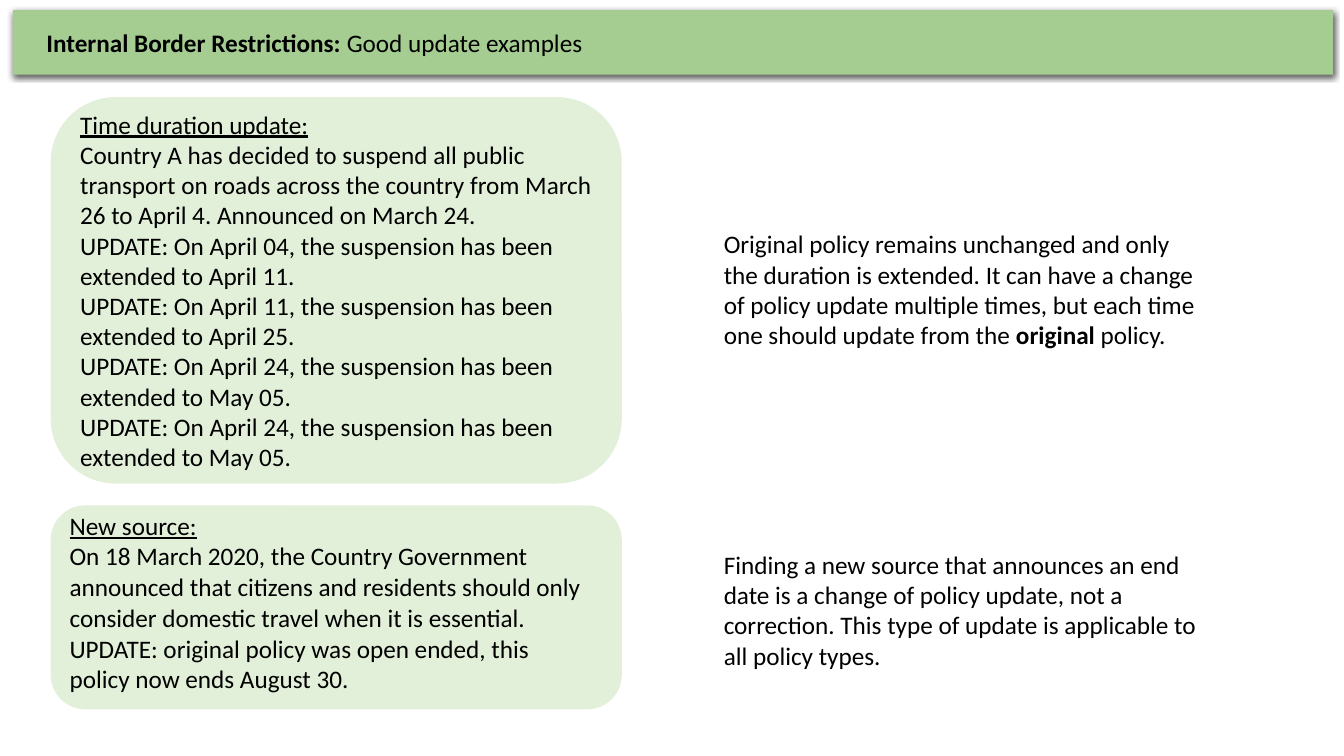
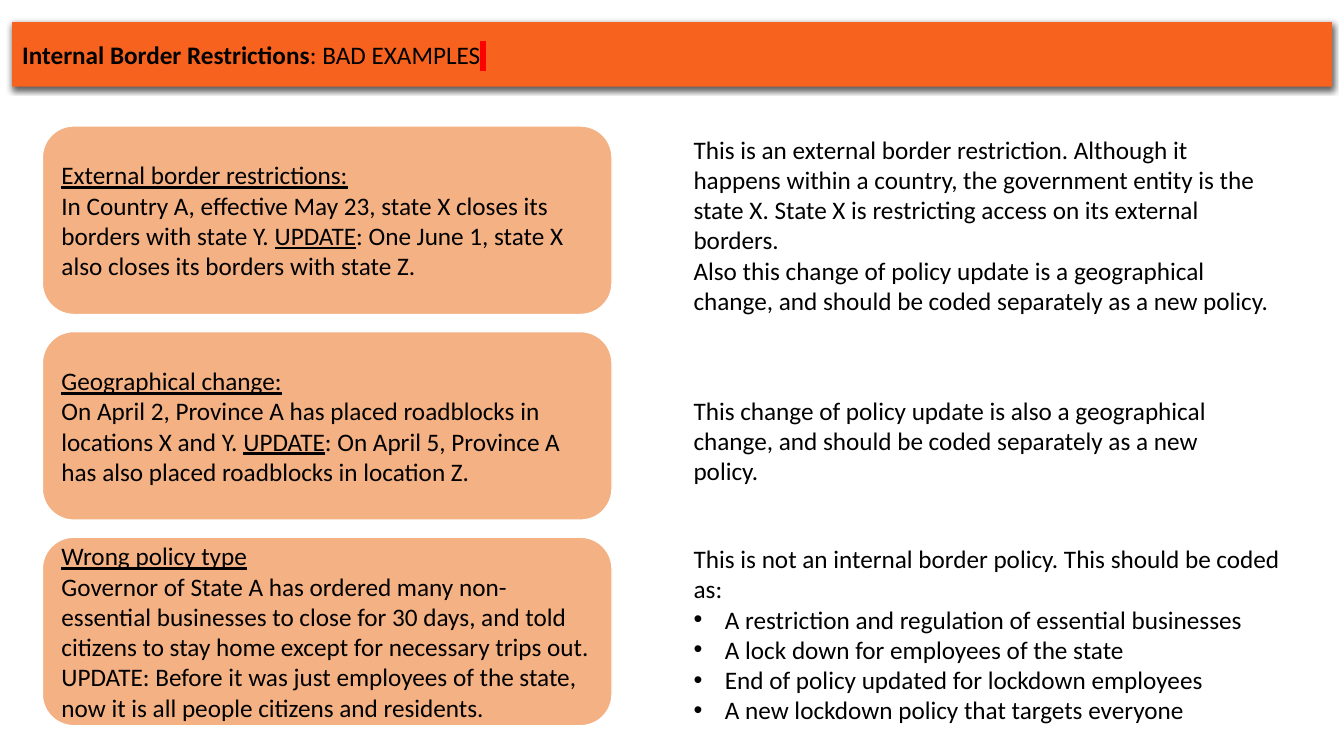
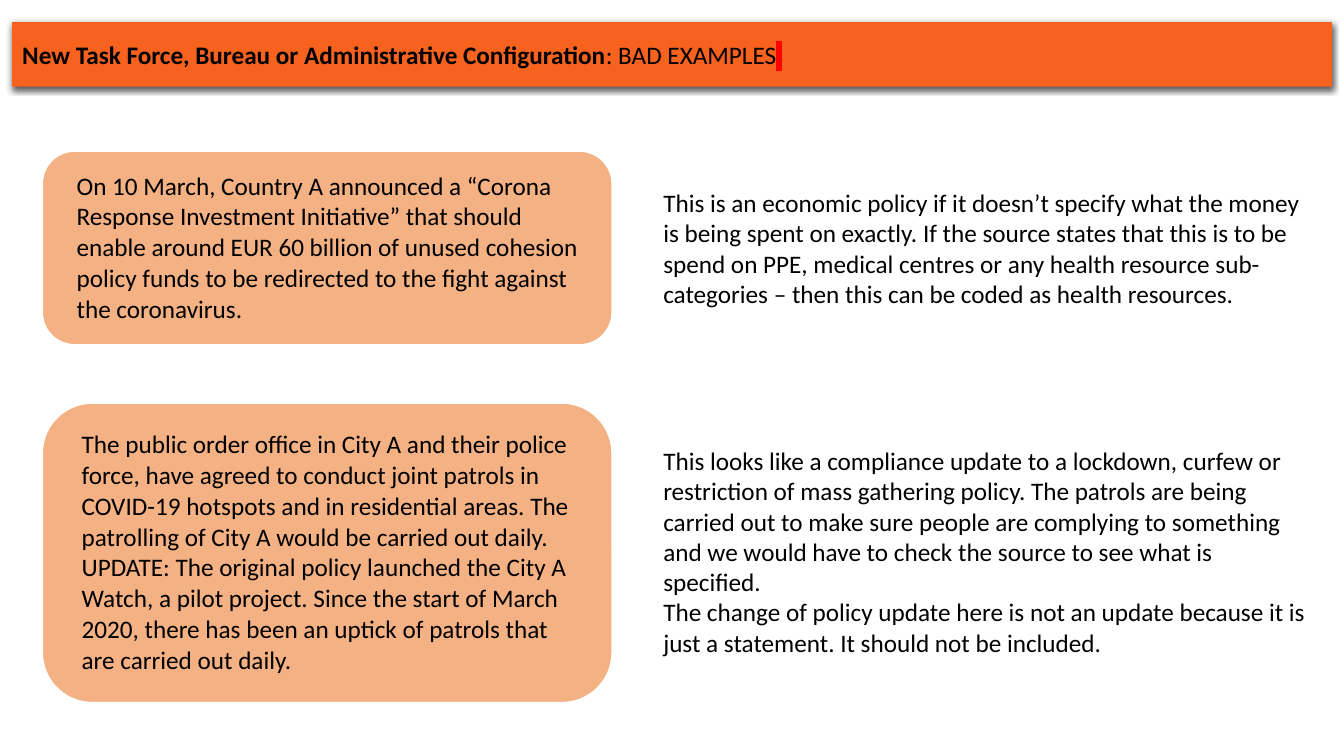
from lxml import etree
from pptx import Presentation
from pptx import util as u
from pptx.dml.color import RGBColor
from pptx.enum import shapes, text
from pptx.oxml.ns import nsdecls, qn

COLORS = {"ink": "000000", "cursor": "FF0000"}
LOOKS = {
    "good": {"band": "A5CD92", "card": "E2F0D9", "edge": "E2F0D9",
             "band_at": (0.13, 0.1), "inset": 0.33, "card_left": 0.51},
    "bad": {"band": "F8621F", "card": "F4B183", "edge": "FFFFFF",
            "band_at": (0.12, 0.22), "inset": 0.1, "card_left": 0.42},
}
BAND_SIZE = (13.09, 0.64)
CARD_WIDTH = 5.65
BULLET_INDENT = 0.31
NO_TABLE_STYLE = "{2D5ABB26-0587-4C30-8999-92F81FD0307C}"
SHADOW = (f'<a:effectLst {nsdecls("a")}><a:outerShdw blurRad="57150" dist="19050" '
          'dir="5400000" algn="ctr" rotWithShape="0"><a:srgbClr val="000000">'
          '<a:alpha val="63000"/></a:srgbClr></a:outerShdw></a:effectLst>')


def inches(*lengths):
    return [u.Inches(length) for length in lengths]


def write(frame, paragraphs):
    """Fill a frame; a paragraph is a string or a list of (words, style) runs."""
    frame.word_wrap = True
    for number, runs in enumerate(paragraphs):
        paragraph = frame.paragraphs[0] if number == 0 else frame.add_paragraph()
        paragraph.alignment = text.PP_ALIGN.LEFT
        paragraph.space_before = u.Pt(0)
        if isinstance(runs, str):
            runs = [(runs, "")]
        p_pr = paragraph._p.get_or_add_pPr()
        bulleted = runs[0][1] == "bullet"
        indent = u.Inches(BULLET_INDENT) if bulleted else 0
        p_pr.set("marL", str(indent))
        p_pr.set("indent", str(-indent))
        if bulleted:
            etree.SubElement(p_pr, qn("a:buFont")).set("typeface", "Arial")
            etree.SubElement(p_pr, qn("a:buChar")).set("char", "•")
        else:
            etree.SubElement(p_pr, qn("a:buNone"))
        for words, style in runs:
            run = paragraph.add_run()
            run.text = words
            font = run.font
            font.name, font.size = "Calibri", u.Pt(18)
            font.bold = style == "bold"
            font.underline = style == "underline"
            font.color.rgb = RGBColor.from_string(COLORS["ink"])
            if style == "cursor":
                highlight = etree.Element(qn("a:highlight"))
                etree.SubElement(highlight, qn("a:srgbClr")).set("val", COLORS["cursor"])
                run._r.rPr.find(qn("a:solidFill")).addnext(highlight)


extensions = [("April 04", "April 11"), ("April 11", "April 25"),
              ("April 24", "May 05"), ("April 24", "May 05")]
bad_ending = [(": BAD EXAMPLES", ""), (" ", "cursor")]
border_card_height = 1.87
border_card_tops = [1.25 + 2.04 * row for row in range(3)]

# card and note are (top, height) pairs; cell is the box of a one-cell table on the card
pages = [
    {"look": "good", "note_left": 7.08, "note_width": 4.92,
     "title": [("Internal Border Restrictions: ", "bold"), ("Good update examples", "")],
     "rows": [
         {"card": (0.97, 3.82), "example": [
             [("Time duration update:", "underline")],
             "Country A has decided to suspend all public transport on roads across the "
             "country from March 26 to April 4. Announced on March 24.",
             *[f"UPDATE: On {day}, the suspension has been extended to {end}."
               for day, end in extensions]],
          "note": (2.22, 1.31), "comment": [[
              ("Original policy remains unchanged and only the duration is extended. It can "
               "have a change of policy update multiple times, but each time one should "
               "update from the ", ""), ("original", "bold"), (" policy.", "")]]},
         {"card": (5.02, 2.01), "cell": (0.59, 5.02, 5.38, 1.9), "example": [
             [("New source:", "underline")],
             "On 18 March 2020, the Country Government announced that citizens and residents "
             "should only consider domestic travel when it is essential. UPDATE: original "
             "policy was open ended, this policy now ends August 30."],
          "note": (5.4, 1.31), "comment": [
              "Finding a new source that announces an end date is a change of policy update, "
              "not a correction. This type of update is applicable to all policy types."]},
     ]},
    {"look": "bad", "note_left": 6.78, "note_width": 6.02,
     "title": [("Internal Border Restrictions", "bold"), *bad_ending],
     "rows": [
         {"card": (border_card_tops[0], border_card_height), "example": [
             [("External border restrictions:", "underline")],
             [("In Country A, effective May 23, state X closes its borders with state Y. ", ""),
              ("UPDATE", "underline"),
              (": One June 1, state X also closes its borders with state Z.", "")]],
          "note": (1.28, 1.92), "comment": [
              "This is an external border restriction. Although it happens within a country, "
              "the government entity is the state X. State X is restricting access on its "
              "external borders.",
              "Also this change of policy update is a geographical change, and should be "
              "coded separately as a new policy."]},
         {"card": (border_card_tops[1], border_card_height), "example": [
             [("Geographical change:", "underline")],
             [("On April 2, Province A has placed roadblocks in locations X and Y. ", ""),
              ("UPDATE", "underline"),
              (": On April 5, Province A has also placed roadblocks in location Z.", "")]],
          "note": (3.87, 1.01), "note_width": 5.49, "comment": [
              "This change of policy update is also a geographical change, and should be "
              "coded separately as a new policy."]},
         {"card": (border_card_tops[2], border_card_height), "example": [
             [("Wrong policy type", "underline")],
             "Governor of State A has ordered many non-essential businesses to close for 30 "
             "days, and told citizens to stay home except for necessary trips out. UPDATE: "
             "Before it was just employees of the state, now it is all people citizens and "
             "residents."],
          "note": (5.34, 1.92), "is_list": True, "comment": [
              "This is not an internal border policy. This should be coded as:",
              [("A restriction and regulation of essential businesses", "bullet")],
              [("A lock down for employees of the state", "bullet")],
              [("End of policy updated for lockdown employees", "bullet")],
              [("A new lockdown policy that targets everyone", "bullet")]]},
     ]},
    {"look": "bad", "note_left": 6.48, "note_width": 6.58,
     "title": [("New Task Force, Bureau or Administrative Configuration", "bold"), *bad_ending],
     "rows": [
         {"card": (1.5, 1.92), "cell": (0.66, 1.5, 5.2, 1.92), "example": [
             "On 10 March, Country A announced a “Corona Response Investment Initiative” that "
             "should enable around EUR 60 billion of unused cohesion policy funds to be "
             "redirected to the fight against the coronavirus."],
          "note": (1.81, 1.31), "comment": [
              "This is an economic policy if it doesn’t specify what the money is being spent "
              "on exactly. If the source states that this is to be spend on PPE, medical "
              "centres or any health resource sub-categories – then this can be coded as "
              "health resources."]},
         {"card": (4, 2.97), "cell": (0.71, 4.12, 5.2, 2.73), "example": [
             "The public order office in City A and their police force, have agreed to conduct "
             "joint patrols in COVID-19 hotspots and in residential areas. The patrolling of "
             "City A would be carried out daily.",
             "UPDATE: The original policy launched the City A Watch, a pilot project. Since "
             "the start of March 2020, there has been an uptick of patrols that are carried "
             "out daily."],
          "note": (4.37, 2.22), "comment": [
              "This looks like a compliance update to a lockdown, curfew or restriction of "
              "mass gathering policy. The patrols are being carried out to make sure people "
              "are complying to something and we would have to check the source to see what "
              "is specified.",
              "The change of policy update here is not an update because it is just a "
              "statement. It should not be included."]},
     ]},
]

deck = Presentation()
deck.slide_width, deck.slide_height = inches(13.33, 7.5)
title_only, title_and_body = deck.slide_layouts[5], deck.slide_layouts[1]

for page in pages:
    look = LOOKS[page["look"]]
    has_list = any(row.get("is_list") for row in page["rows"])
    slide = deck.slides.add_slide(title_and_body if has_list else title_only)

    band = slide.shapes.title
    band.left, band.top, band.width, band.height = inches(*look["band_at"], *BAND_SIZE)
    band.fill.solid()
    band.fill.fore_color.rgb = RGBColor.from_string(look["band"])
    band._element.spPr.append(etree.fromstring(SHADOW))
    band.text_frame.auto_size = text.MSO_AUTO_SIZE.NONE
    band.text_frame.vertical_anchor = text.MSO_ANCHOR.MIDDLE
    band.text_frame.margin_left = u.Inches(look["inset"])
    write(band.text_frame, [page["title"]])

    for row in page["rows"]:
        top, height = row["card"]
        card = slide.shapes.add_shape(shapes.MSO_SHAPE.ROUNDED_RECTANGLE,
                                      *inches(look["card_left"], top, CARD_WIDTH, height))
        card.shadow.inherit = False
        card.fill.solid()
        card.fill.fore_color.rgb = RGBColor.from_string(look["card"])
        card.line.color.rgb = RGBColor.from_string(look["edge"])
        card.line.width = u.Pt(1)
        if "cell" in row:
            table = slide.shapes.add_table(1, 1, *inches(*row["cell"])).table
            table.first_row = table.horz_banding = False
            table._tbl.tblPr.find(qn("a:tableStyleId")).text = NO_TABLE_STYLE
            holder = table.cell(0, 0)
            holder.fill.background()
        else:
            holder = card.text_frame
        holder.vertical_anchor = text.MSO_ANCHOR.MIDDLE
        write(holder if "cell" not in row else holder.text_frame, row["example"])

        top, height = row["note"]
        note_box = inches(page["note_left"], top,
                          row.get("note_width", page["note_width"]), height)
        if row.get("is_list"):
            note = slide.placeholders[1]
            note.left, note.top, note.width, note.height = note_box
        else:
            note = slide.shapes.add_textbox(*note_box)
        note.text_frame.auto_size = text.MSO_AUTO_SIZE.NONE
        write(note.text_frame, row["comment"])

deck.save("out.pptx")
